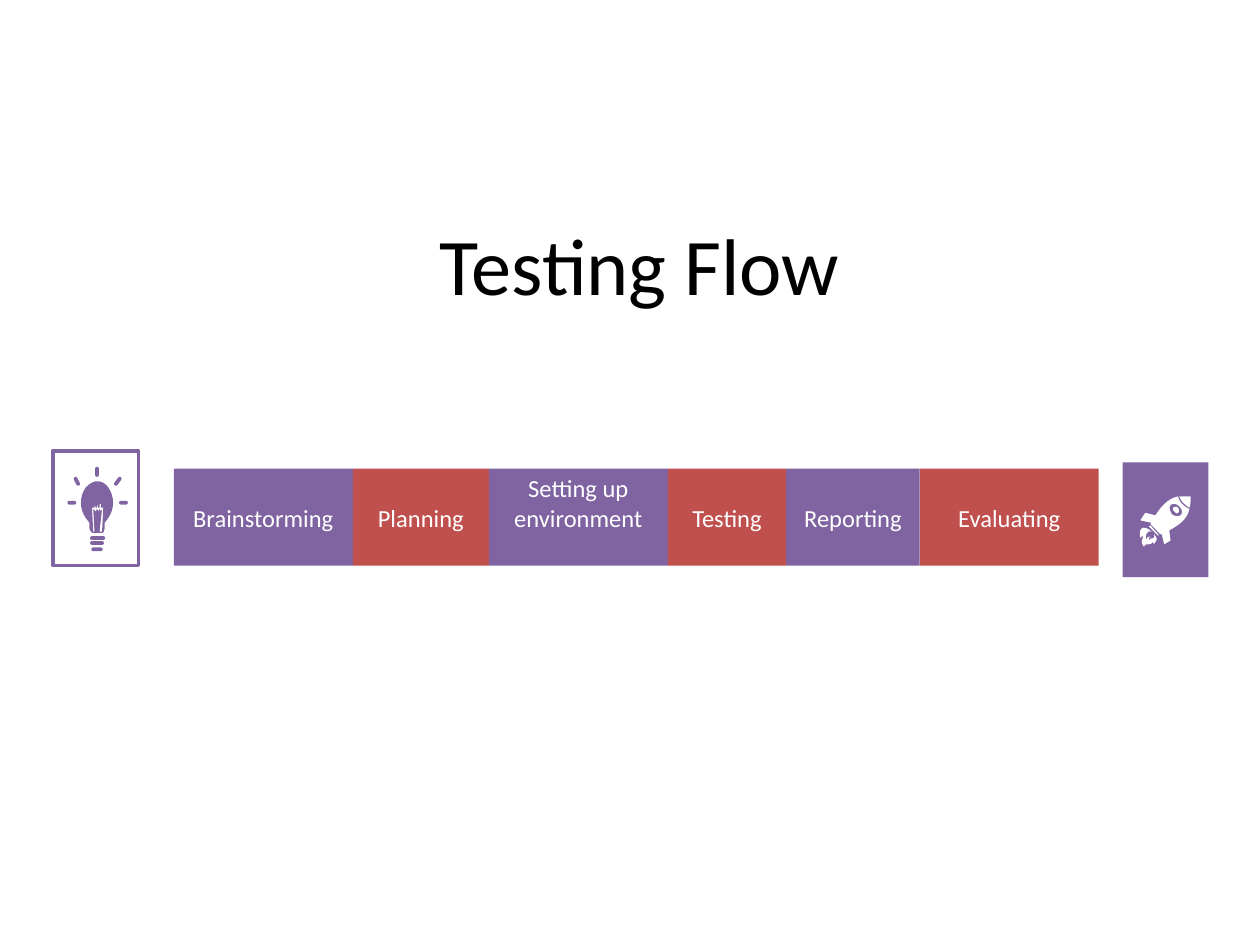
import math
from pptx import Presentation
from pptx.dml.color import RGBColor
from pptx.enum import shapes, text
from pptx.util import Inches, Pt


class Theme:
    font = "Calibri"
    violet, red = RGBColor(0x80, 0x64, 0xA2), RGBColor(0xC0, 0x50, 0x4D)
    black, white = RGBColor(0, 0, 0), RGBColor(255, 255, 255)
    title, step, frame = Pt(45.9), Pt(14), Pt(2)


TITLE = "Testing Flow"
# label, width, bottom inset
STEPS = [
    ("Brainstorming", 1.42, 0.05),
    ("Planning", 1.08, 0.05),
    ("Setting up environment", 1.42, 0.28),
    ("Testing", 0.94, 0.05),
    ("Reporting", 1.06, 0.05),
    ("Evaluating", 1.42, 0.05),
]
ROW_X, ROW_Y, ROW_H = 1.38, 3.72, 0.77

# Icon outlines in inches: a pair is a line, six numbers are a cubic curve.
GLASS = [
    (0.77, 3.82), (0.81, 3.82, 0.84, 3.84, 0.86, 3.87),
    (0.91, 3.94, 0.91, 4.04, 0.86, 4.11), (0.83, 4.15), (0.83, 4.19),
    (0.83, 4.21, 0.82, 4.23, 0.81, 4.23), (0.74, 4.23),
    (0.73, 4.23, 0.71, 4.21, 0.71, 4.19), (0.71, 4.15), (0.68, 4.11),
    (0.63, 4.04, 0.63, 3.94, 0.68, 3.87), (0.71, 3.84, 0.74, 3.82, 0.77, 3.82),
]
WIRE = [
    (0.73, 4.03), (0.75, 4.03), (0.75, 4), (0.76, 4.03), (0.77, 4.03),
    (0.77, 4), (0.78, 4.03), (0.79, 4.03), (0.79, 4), (0.8, 4),
    (0.8, 4.03), (0.82, 4.03), (0.81, 4.22), (0.79, 4.22), (0.81, 4.04),
    (0.8, 4.06), (0.79, 4.04), (0.78, 4.06), (0.77, 4.04), (0.76, 4.06),
    (0.74, 4.04), (0.75, 4.22), (0.74, 4.22),
]
# Rounded bars: both ends of the centre line
BARS = [
    ((0.74, 4.36), (0.8, 4.36)), ((0.73, 4.31), (0.81, 4.31)),
    ((0.73, 4.27), (0.82, 4.27)), ((0.55, 3.99), (0.59, 3.99)),
    ((0.96, 3.99), (1, 3.99)), ((0.95, 3.8), (0.92, 3.84)),
    ((0.6, 3.8), (0.62, 3.84)), ((0.77, 3.72), (0.77, 3.77)),
]
ROCKET = [
    [(9.14, 4.22), (9.12, 4.21, 9.08, 4.23, 9.1, 4.29),
     (9.1, 4.26, 9.12, 4.26, 9.13, 4.26), (9.13, 4.26, 9.11, 4.27, 9.12, 4.29),
     (9.13, 4.26, 9.17, 4.29, 9.16, 4.24), (9.2, 4.29, 9.17, 4.29, 9.16, 4.32),
     (9.15, 4.3), (9.13, 4.34, 9.09, 4.3, 9.08, 4.34),
     (9.04, 4.29, 9.08, 4.28, 9.07, 4.25), (9.05, 4.27),
     (9.03, 4.16, 9.1, 4.18, 9.14, 4.22)],
    [(9.13, 4.17), (9.2, 4.25), (9.19, 4.25), (9.12, 4.18)],
    [(9.35, 4.03), (9.36, 4.05, 9.36, 4.06, 9.35, 4.07),
     (9.34, 4.08, 9.33, 4.07, 9.32, 4.06), (9.31, 4.05, 9.31, 4.04, 9.31, 4.03),
     (9.32, 4.02, 9.34, 4.02, 9.35, 4.03)],
    [(9.36, 4.02), (9.34, 4, 9.31, 3.99, 9.29, 4.01),
     (9.28, 4.02, 9.28, 4.05, 9.3, 4.08), (9.32, 4.1, 9.35, 4.1, 9.37, 4.09),
     (9.39, 4.07, 9.38, 4.04, 9.36, 4.02)],
    [(9.35, 3.94), (9.36, 3.99, 9.4, 4.02, 9.44, 4.04),
     (9.42, 4.13, 9.35, 4.17, 9.28, 4.21), (9.29, 4.29), (9.24, 4.32),
     (9.22, 4.24), (9.21, 4.24), (9.13, 4.16), (9.14, 4.15), (9.05, 4.13),
     (9.09, 4.07), (9.17, 4.09), (9.21, 4.03, 9.26, 3.96, 9.35, 3.94)],
    [(9.45, 3.94), (9.45, 3.97, 9.45, 4, 9.44, 4.03),
     (9.41, 4.01, 9.37, 3.98, 9.36, 3.94), (9.39, 3.94, 9.41, 3.94, 9.45, 3.94)],
]


def flatten(path, steps=8):
    """Turn lines and cubic curves into a list of points."""
    points = []
    for part in path:
        if len(part) == 2:
            points.append(part)
            continue
        knots = [points[-1], part[:2], part[2:4], part[4:]]
        for i in range(1, steps + 1):
            t = i / steps
            mix = [math.comb(3, k) * t**k * (1 - t)**(3 - k) for k in range(4)]
            points.append(tuple(sum(m * p[axis] for m, p in zip(mix, knots))
                                for axis in (0, 1)))
    return points


def capsule(a, b, radius=0.015, steps=6):
    """Outline a thick line with round ends."""
    turn = math.atan2(b[1] - a[1], b[0] - a[0])
    return [(x + radius * math.cos(angle), y + radius * math.sin(angle))
            for (x, y), base in ((b, turn - math.pi / 2), (a, turn + math.pi / 2))
            for angle in (base + math.pi * i / steps for i in range(steps + 1))]


def paint(shape, fill=None, line=None):
    shape.shadow.inherit = False
    if fill is None:
        shape.fill.background()
    else:
        shape.fill.solid()
        shape.fill.fore_color.rgb = fill
    if line is None:
        shape.line.fill.background()
    else:
        shape.line.color.rgb = line
        shape.line.width = Theme.frame
    return shape


def box(slide, x, y, w, h, fill=None, line=None):
    shape = slide.shapes.add_shape(shapes.MSO_SHAPE.RECTANGLE,
                                   *map(Inches, (x, y, w, h)))
    return paint(shape, fill, line)


def icon(slide, paths, fill):
    rings = [[(Inches(x), Inches(y)) for x, y in flatten(path)] for path in paths]
    pen = slide.shapes.build_freeform(*rings[0][0])
    for i, ring in enumerate(rings):
        if i:
            pen.move_to(*ring[0])
        pen.add_line_segments(ring[1:], close=True)
    paint(pen.convert_to_shape(), fill)


def write(shape, words, size, color):
    frame = shape.text_frame
    frame.word_wrap = True
    frame.vertical_anchor = text.MSO_ANCHOR.MIDDLE
    para = frame.paragraphs[0]
    para.alignment = text.PP_ALIGN.CENTER
    run = para.add_run()
    run.text = words
    run.font.name, run.font.size = Theme.font, size
    run.font.color.rgb = color
    return frame


def main():
    deck = Presentation()
    deck.slide_width, deck.slide_height = Inches(10), Inches(7.5)
    slide = deck.slides.add_slide(deck.slide_layouts[5])

    title = slide.shapes.title
    title.left, title.top = Inches(0.33), Inches(1.67)
    title.width, title.height = Inches(9.49), Inches(0.79)
    frame = write(title, TITLE, Theme.title, Theme.black)
    frame.auto_size = text.MSO_AUTO_SIZE.NONE
    frame.margin_left = frame.margin_right = frame.margin_top = Inches(0.1)
    frame.margin_bottom = Inches(0.05)
    frame.paragraphs[0].space_before = Pt(4)

    x = ROW_X
    for i, (label, width, inset) in enumerate(STEPS):
        fill = (Theme.violet, Theme.red)[i % 2]
        step = box(slide, x, ROW_Y, width, ROW_H, fill)
        write(step, label, Theme.step, Theme.white).margin_bottom = Inches(inset)
        x += width

    box(slide, 0.42, 3.58, 0.68, 0.91, line=Theme.violet)
    icon(slide, [GLASS, WIRE] + [capsule(*bar) for bar in BARS], Theme.violet)
    box(slide, 8.91, 3.67, 0.68, 0.91, Theme.violet)
    icon(slide, ROCKET, Theme.white)
    deck.save("out.pptx")


if __name__ == "__main__":
    main()
